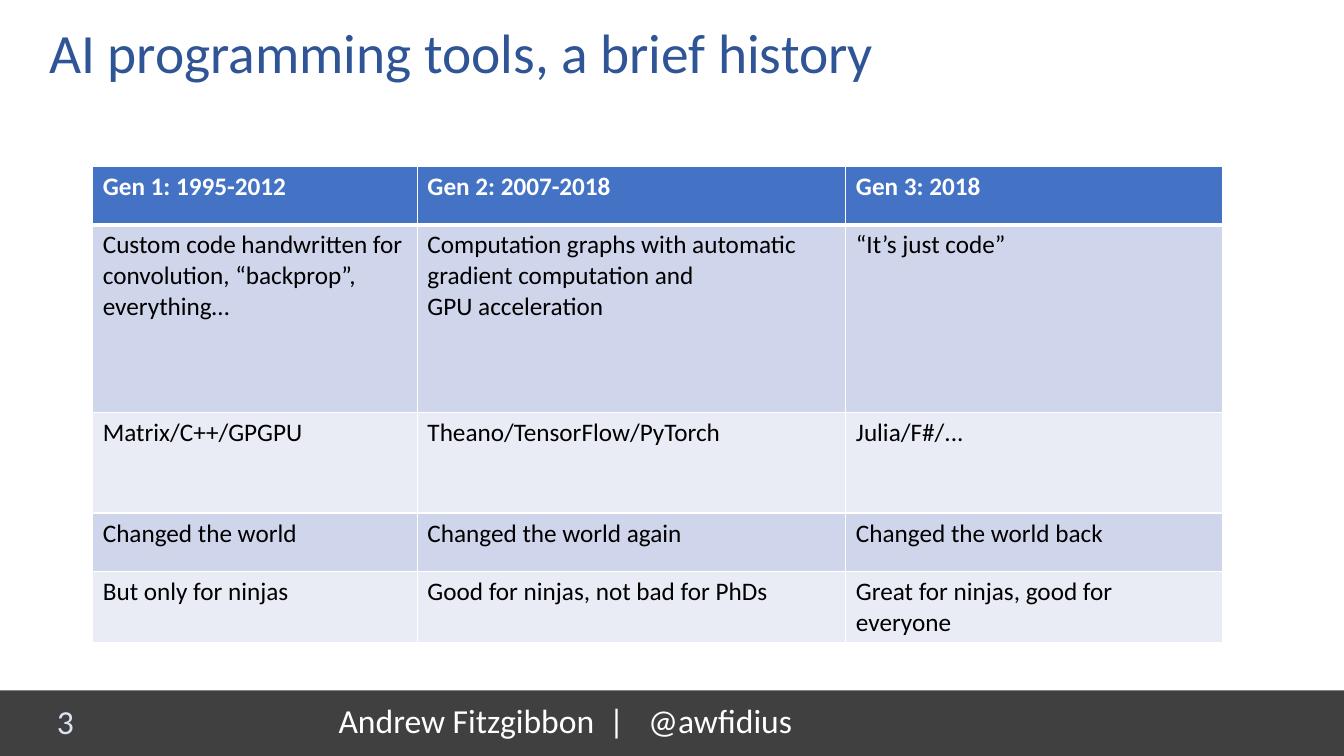
import pptx
import pptx.util
import pptx.dml.color
import pptx.enum.shapes
import pptx.enum.text
import pptx.oxml
import pptx.oxml.ns
from lxml import etree

TITLE = "AI programming tools, a brief history"
AUTHOR = "Andrew Fitzgibbon\t|\t@awfidius"
NUMBER = "3"
ROWS = [
    ("Gen 1: 1995-2012", "Gen 2: 2007-2018", "Gen 3: 2018"),
    ("Custom code handwritten for convolution, “backprop”, everything…",
     "Computation graphs with automatic \vgradient computation and \vGPU acceleration",
     "“It’s just code”"),
    ("Matrix/C++/GPGPU", "Theano/TensorFlow/PyTorch", "Julia/F#/..."),
    ("Changed the world", "Changed the world again", "Changed the world back"),
    ("But only for ninjas", "Good for ninjas, not bad for PhDs",
     "Great for ninjas, good for everyone"),
]
WIDTHS = [3.22, 4.25, 3.74]
HEIGHTS = [0.58, 1.86, 1, 0.58, 0.7]
HEAD, BANDS = "4472C4", ("E9EBF5", "CFD5EA")
TABS = [2.68, 3.07]

Inches = pptx.util.Inches
ANCHOR = pptx.enum.text.MSO_ANCHOR
ALIGN = pptx.enum.text.PP_ALIGN


def paint(target, color):
    """Give a fill or a font a solid colour."""
    if hasattr(target, "solid"):
        target.solid()
        target.fore_color.rgb = pptx.dml.color.RGBColor.from_string(color)
    else:
        target.color.rgb = pptx.dml.color.RGBColor.from_string(color)


def style(par, size, color, bold=False):
    for run in par.runs:
        run.font.name = "Calibri"
        run.font.size = pptx.util.Pt(size)
        run.font.bold = bold
        paint(run.font, color)


def label(slide, text, box, size, color, anchor=ANCHOR.MIDDLE):
    frame = slide.shapes.add_textbox(*map(Inches, box)).text_frame
    frame.word_wrap = True
    frame.vertical_anchor = anchor
    par = frame.paragraphs[0]
    par.text = text
    style(par, size, color)
    return par


def set_tabs(par, stops):
    tabs = etree.SubElement(par._p.get_or_add_pPr(), pptx.oxml.ns.qn("a:tabLst"))
    for stop in stops:
        etree.SubElement(tabs, pptx.oxml.ns.qn("a:tab"),
                         pos=str(Inches(stop)), algn="l")


def border(cell, top, low):
    """Draw white cell edges; top and low are widths in points."""
    props = cell._tc.get_or_add_tcPr()
    for spot, (side, width) in enumerate(
            [("L", 1), ("R", 1), ("T", top), ("B", low)]):
        line = pptx.oxml.parse_xml(
            f'<a:ln{side} {pptx.oxml.ns.nsdecls("a")} w="{pptx.util.Pt(width)}">'
            f'<a:solidFill><a:srgbClr val="FFFFFF"/></a:solidFill></a:ln{side}>')
        props.insert(spot, line)


def history(slide):
    table = slide.shapes.add_table(
        len(ROWS), len(WIDTHS), Inches(0.92), Inches(1.65),
        Inches(sum(WIDTHS)), Inches(sum(HEIGHTS))).table
    for col, width in zip(table.columns, WIDTHS):
        col.width = Inches(width)
    for r, texts in enumerate(ROWS):
        head = r == 0
        table.rows[r].height = Inches(HEIGHTS[r])
        for c, text in enumerate(texts):
            cell = table.cell(r, c)
            par = cell.text_frame.paragraphs[0]
            par.text = text
            style(par, 18, "FFFFFF" if head else "000000", head)
            paint(cell.fill, HEAD if head else BANDS[r % 2])
            # the edge under the header is heavier, on both cells that share it
            border(cell, 3 if r == 1 else 1, 3 if head else 1)


def main():
    deck = pptx.Presentation()
    deck.slide_width, deck.slide_height = Inches(13.33), Inches(7.5)
    slide = deck.slides.add_slide(deck.slide_layouts[6])

    bar = slide.shapes.add_shape(
        pptx.enum.shapes.MSO_SHAPE.RECTANGLE,
        0, Inches(6.85), deck.slide_width, Inches(0.65))
    bar.shadow.inherit = False
    paint(bar.fill, "404040")
    bar.line.fill.background()

    author = label(slide, AUTHOR, (3.26, 6.89, 4.74, 0.5), 24, "FFFFFF", ANCHOR.TOP)
    set_tabs(author, TABS)
    title = label(slide, TITLE, (0.39, 0.17, 12.77, 0.76), 39.6, "2F5597")
    title.line_spacing = 0.9
    number = label(slide, NUMBER, (0.08, 6.95, 0.75, 0.4), 24, "DAE3F3")
    number.alignment = ALIGN.RIGHT
    history(slide)
    deck.save("out.pptx")


if __name__ == "__main__":
    main()
